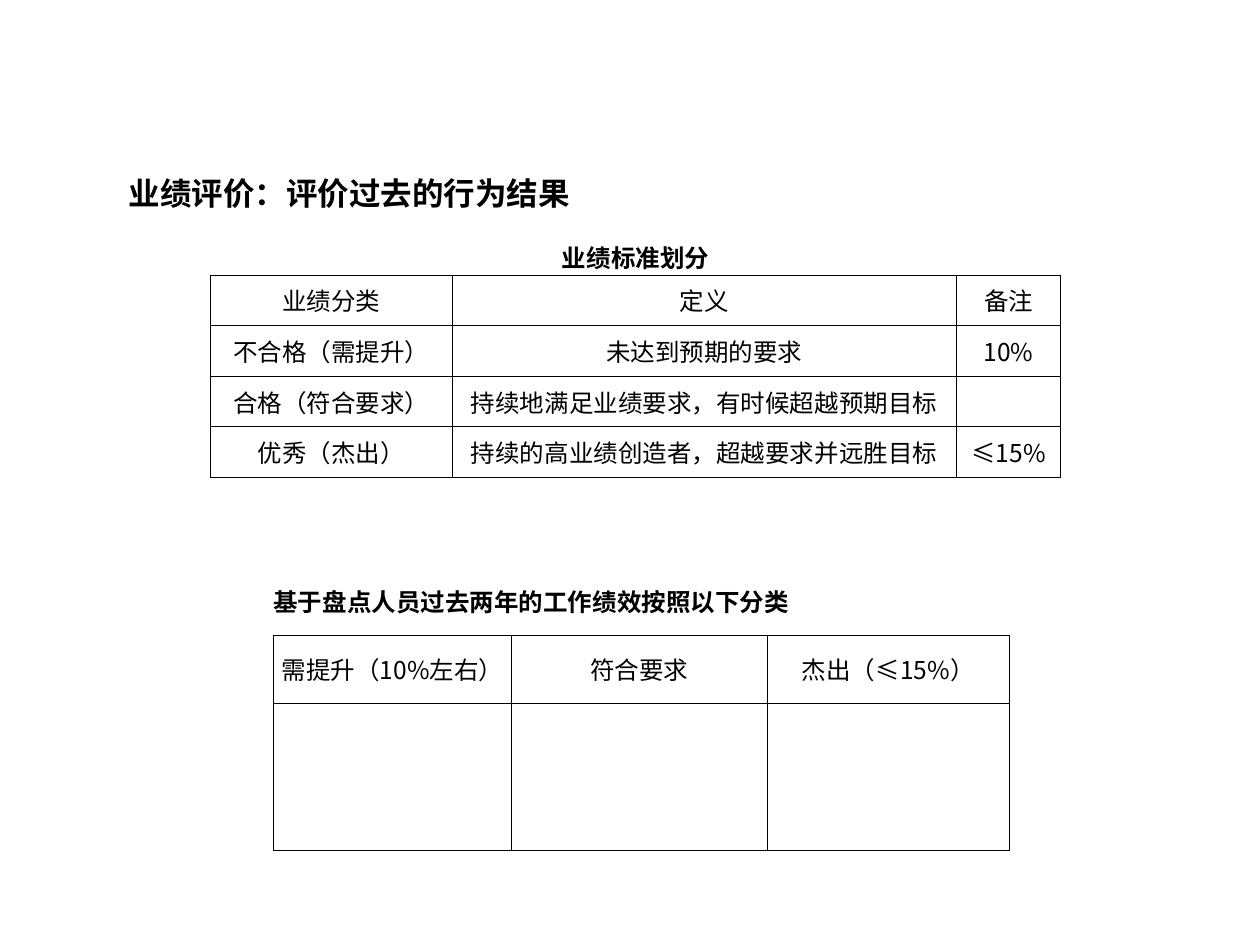
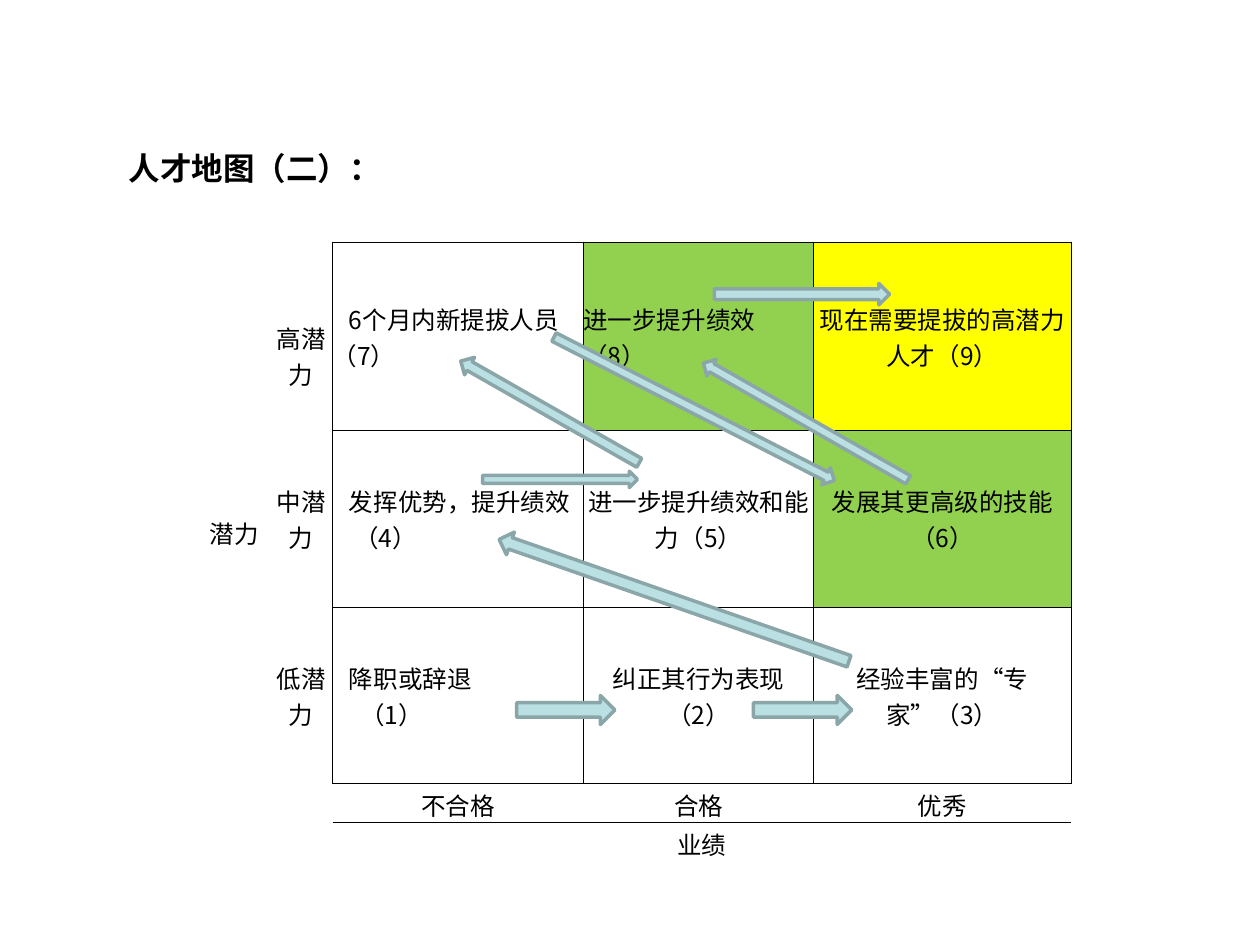
from dataclasses import dataclass
from typing import Optional

import pptx
import pptx.dml.color
import pptx.enum.shapes
import pptx.enum.text
import pptx.oxml.ns
import pptx.util
from lxml import etree

FONT = "Noto Sans CJK SC"
TITLE_PT, BODY_PT = 18, 14
COLORS = {
    "text": "000000",
    "ready": "FFFF00",
    "promising": "92D050",
    "arrow": "BBE0E3",
    "arrow_edge": "8AA6A8",
}
COLUMNS, ROWS = 100, 75  # slide grid; every length below counts its units
UNIT = pptx.util.Inches(0.1)

ALIGN = pptx.enum.text.PP_ALIGN
ANCHOR = pptx.enum.text.MSO_ANCHOR
SHAPE = pptx.enum.shapes.MSO_SHAPE
qn = pptx.oxml.ns.qn


@dataclass(frozen=True)
class Cell:
    text: str = ""
    fill: Optional[str] = None
    bold: bool = False
    align: ALIGN = ALIGN.CENTER
    anchor: ANCHOR = ANCHOR.MIDDLE
    borders: str = "LRTB"
    rows: int = 1
    cols: int = 1
    vertical: bool = False
    indents: tuple[float, ...] = ()


@dataclass(frozen=True)
class Table:
    left: float
    top: float
    cols: tuple[float, ...]
    rows: tuple[float, ...]
    cells: list[list[Optional[Cell]]]  # None marks a place inside a merged cell


@dataclass(frozen=True)
class Arrow:
    left: float
    top: float
    width: float
    height: float
    shape: SHAPE = SHAPE.RIGHT_ARROW
    rotation: float = 0


def units(n: float) -> int:
    return round(n * UNIT)


def rgb(name: str) -> pptx.dml.color.RGBColor:
    return pptx.dml.color.RGBColor.from_string(COLORS[name])


def format_run(r, size: float, bold: bool) -> None:
    r.font.name = FONT
    r.font.size = pptx.util.Pt(size)
    r.font.bold = bold
    r.font.color.rgb = rgb("text")
    ea = etree.Element(qn("a:ea"), typeface=FONT)
    r.font._element.find(qn("a:latin")).addnext(ea)


def add_titled_slide(prs, title: str, top: float, width: float):
    slide = prs.slides.add_slide(prs.slide_layouts[5])
    sp = slide.shapes.title
    sp.left, sp.top = units(9.2), units(top)
    sp.width, sp.height = units(width), units(4)
    tf = sp.text_frame
    tf.text = title
    tf.word_wrap = True
    tf.auto_size = pptx.enum.text.MSO_AUTO_SIZE.SHAPE_TO_FIT_TEXT
    tf.vertical_anchor = ANCHOR.TOP
    tf.paragraphs[0].alignment = ALIGN.LEFT
    format_run(tf.paragraphs[0].runs[0], TITLE_PT, True)
    return slide


def draw_borders(tc, sides: str) -> None:
    tcPr = tc._tc.get_or_add_tcPr()
    for side in sides:
        ln = etree.SubElement(tcPr, qn(f"a:ln{side}"), w=str(pptx.util.Pt(0.5)))
        fill = etree.SubElement(ln, qn("a:solidFill"))
        etree.SubElement(fill, qn("a:srgbClr"), val=COLORS["text"])


def fill_cell(tc, cell: Cell) -> None:
    tc.margin_left = tc.margin_right = tc.margin_top = tc.margin_bottom = 0
    tc.vertical_anchor = cell.anchor
    draw_borders(tc, cell.borders)
    if cell.fill:
        tc.fill.solid()
        tc.fill.fore_color.rgb = rgb(cell.fill)
    else:
        tc.fill.background()
    if cell.vertical:
        tc._tc.get_or_add_tcPr().set("vert", "eaVert")
    tc.text_frame.text = cell.text
    for i, p in enumerate(tc.text_frame.paragraphs):
        p.alignment = cell.align
        if cell.indents:
            p._p.get_or_add_pPr().set("marL", str(units(cell.indents[i])))
        for r in p.runs:
            format_run(r, BODY_PT, cell.bold)
        if not p.runs:  # keeps an empty line from stretching its row
            etree.SubElement(p._p, qn("a:endParaRPr"), sz=str(BODY_PT * 100))


def add_table(slide, spec: Table) -> None:
    frame = slide.shapes.add_table(
        len(spec.rows), len(spec.cols), units(spec.left), units(spec.top),
        units(sum(spec.cols)), units(sum(spec.rows)))
    table = frame.table
    table.first_row = table.horz_banding = False
    style = table._tbl.tblPr.find(qn("a:tableStyleId"))
    style.text = "{2D5ABB26-0587-4C30-8999-92F81FD0307C}"  # no style, no grid
    for column, width in zip(table.columns, spec.cols):
        column.width = units(width)
    for row, height in zip(table.rows, spec.rows):
        row.height = units(height)
    for i, row in enumerate(spec.cells):
        for j, cell in enumerate(row):
            if cell is None:
                continue
            for y in range(i, i + cell.rows):
                for x in range(j, j + cell.cols):
                    if (y, x) != (i, j):
                        fill_cell(table.cell(y, x), Cell(fill=cell.fill, borders=cell.borders))
            fill_cell(table.cell(i, j), cell)
            if cell.rows * cell.cols > 1:
                table.cell(i, j).merge(table.cell(i + cell.rows - 1, j + cell.cols - 1))


def add_arrow(slide, arrow: Arrow) -> None:
    sp = slide.shapes.add_shape(
        arrow.shape, units(arrow.left), units(arrow.top),
        units(arrow.width), units(arrow.height))
    sp.rotation = arrow.rotation
    sp.shadow.inherit = False
    sp.fill.solid()
    sp.fill.fore_color.rgb = rgb("arrow")
    sp.line.color.rgb = rgb("arrow_edge")
    sp.line.width = pptx.util.Pt(2)


def text_row(*texts: str) -> list[Optional[Cell]]:
    return [Cell(text) for text in texts]


def heading_row(text: str, **options) -> list[Optional[Cell]]:
    return [Cell(text, bold=True, borders="B", cols=3, **options), None, None]


def level(text: str) -> Cell:
    return Cell(text, borders="R", vertical=True)


def axis(text: str, borders: str = "T", cols: int = 1) -> Cell:
    return Cell(text, anchor=ANCHOR.BOTTOM, borders=borders, cols=cols)


STANDARDS = Table(16.7, 17.8, (19.2, 40, 8.3), (4.02,) * 5, [
    heading_row("业绩标准划分", anchor=ANCHOR.BOTTOM),
    text_row("业绩分类", "定义", "备注"),
    text_row("不合格（需提升）", "未达到预期的要求", "10%"),
    text_row("合格（符合要求）", "持续地满足业绩要求，有时候超越预期目标", ""),
    text_row("优秀（杰出）", "持续的高业绩创造者，超越要求并远胜目标", "≤15%"),
])
GROUPS = Table(21.7, 45, (18.9, 20.3, 19.2), (5.4, 5.4, 11.7), [
    heading_row("基于盘点人员过去两年的工作绩效按照以下分类", align=ALIGN.LEFT),
    text_row("需提升（10%左右）", "符合要求", "杰出（≤15%）"),
    text_row("", "", ""),
])

BLANK = Cell(borders="")
TALENT_MAP = Table(15.8, 19.2, (5.6, 5, 19.9, 18.3, 20.4), (3.1, 11.9, 14, 14, 3.1, 3.1), [
    [BLANK, Cell(borders="R"),
     Cell("6个月内新提拔人员\n（7）", align=ALIGN.LEFT, rows=2, indents=(1.3, 0)),
     Cell("进一步提升绩效\n（8）", "promising", align=ALIGN.LEFT, rows=2),
     Cell("现在需要提拔的高潜力人才（9）", "ready", rows=2)],
    [Cell("潜力", borders="", rows=3, vertical=True), level("高潜力"), None, None, None],
    [None, level("中潜力"),
     Cell("发挥优势，提升绩效\n（4）", align=ALIGN.LEFT, indents=(1.3, 1.7)),
     Cell("进一步提升绩效和能力（5）"),
     Cell("发展其更高级的技能（6）", "promising")],
    [None, level("低潜力"),
     Cell("降职或辞退\n（1）", align=ALIGN.LEFT, indents=(1.3, 2.2)),
     Cell("纠正其行为表现\n（2）"),
     Cell("经验丰富的“专家”（3）")],
    [BLANK, BLANK, axis("不合格"), axis("合格"), axis("优秀")],
    [BLANK, BLANK, axis("业绩", borders="", cols=3), None, None],
])
CAREER_MOVES = [
    Arrow(41, 55.2, 7.8, 2.3),
    Arrow(59.8, 55.2, 7.8, 2.3),
    Arrow(38.8, 46.7, 29.4, 1.9, SHAPE.LEFT_ARROW, 19.2),
    Arrow(38.3, 37.4, 12.3, 1.3),
    Arrow(35.5, 31.9, 16.3, 1.6, SHAPE.LEFT_ARROW, 29.7),
    Arrow(42.6, 31.7, 25, 1.5, rotation=27.1),
    Arrow(54.6, 32.7, 18.7, 1.5, SHAPE.LEFT_ARROW, 29.7),
    Arrow(56.7, 22.5, 13.9, 1.7),
]


def main() -> None:
    prs = pptx.Presentation()
    prs.slide_width, prs.slide_height = units(COLUMNS), units(ROWS)

    slide = add_titled_slide(prs, "业绩评价：评价过去的行为结果", 13.3, 48.3)
    for table in (STANDARDS, GROUPS):
        add_table(slide, table)

    slide = add_titled_slide(prs, "人才地图（二）：", 11.3, 31.7)
    add_table(slide, TALENT_MAP)
    for arrow in CAREER_MOVES:
        add_arrow(slide, arrow)

    prs.save("out.pptx")


if __name__ == "__main__":
    main()
